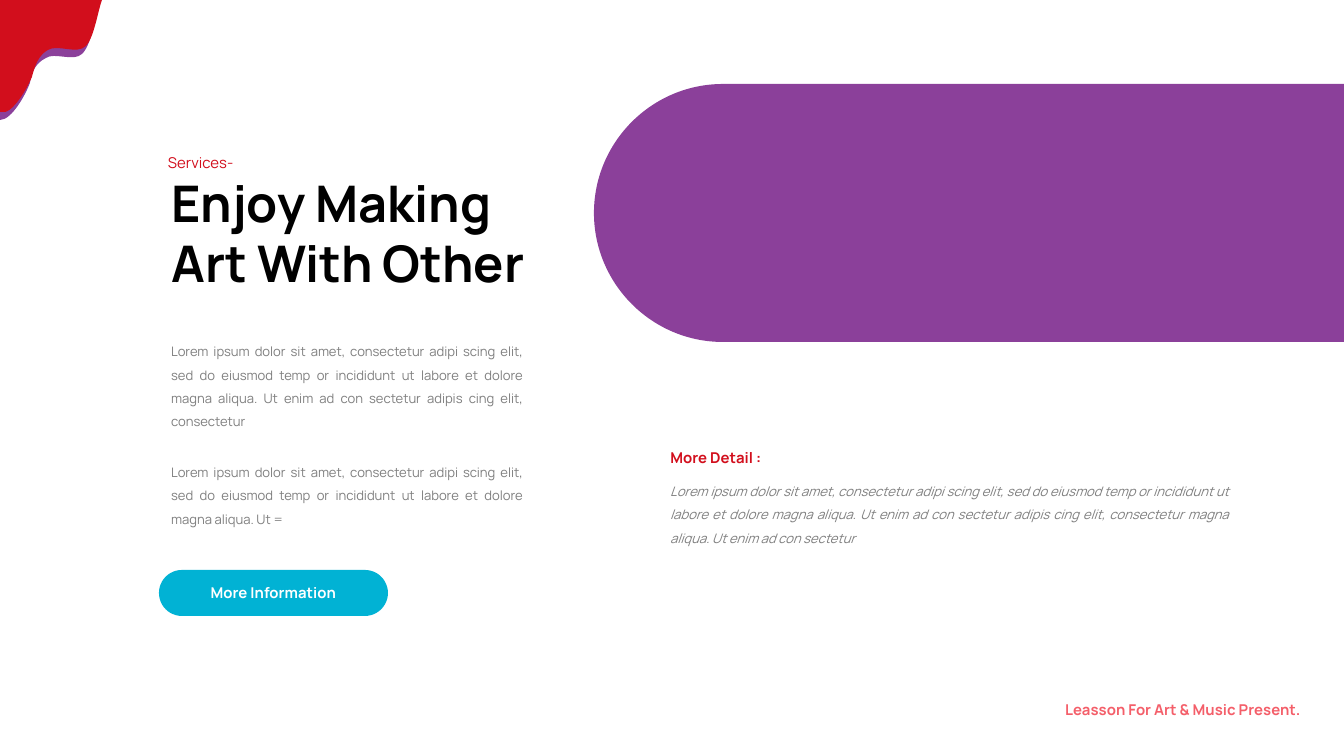
from pptx import Presentation
from pptx import util as u
from pptx.dml.color import RGBColor
from pptx.enum import shapes, text
from pptx.oxml.ns import qn

EMU_PER_PX = 914400 / 134.4
FONT = "Manrope"
PURPLE = RGBColor(0x8B, 0x40, 0x9A)
RED = RGBColor(0xD2, 0x0E, 0x1C)
CORAL = RGBColor(0xF4, 0x5E, 0x69)
CYAN = RGBColor(0x01, 0xB2, 0xD4)
GRAY = RGBColor(0x7F, 0x7F, 0x7F)
BLACK = RGBColor(0, 0, 0)
WHITE = RGBColor(0xFF, 0xFF, 0xFF)

LEFT, CENTER = text.PP_ALIGN.LEFT, text.PP_ALIGN.CENTER
RIGHT, JUSTIFY = text.PP_ALIGN.RIGHT, text.PP_ALIGN.JUSTIFY
NARROW_INSETS = (10, 5)

LOREM = ("Lorem ipsum dolor sit amet, consectetur adipi scing elit, sed do eiusmod "
         "temp or incididunt ut labore et dolore magna aliqua. Ut ")
LOREM_LONG = LOREM + "enim ad con sectetur adipis cing elit, consectetur"


def px(length):
    return u.Emu(round(length * EMU_PER_PX))


def paint(shape, color):
    shape.shadow.inherit = False
    shape.fill.solid()
    shape.fill.fore_color.rgb = color
    shape.line.fill.background()


def bend(segments):
    """Merge each three line segments into one cubic Bezier segment."""
    for first, second, third in zip(*[iter(segments)] * 3):
        first.tag = qn("a:cubicBezTo")
        for segment in (second, third):
            first.append(segment[0])
            segment.getparent().remove(segment)


def add_outline(container, corners, curves, color):
    """Draw straight corners followed by a chain of curves, then close."""
    points = corners + [point for curve in curves for point in curve]
    start, *others = [(px(x), px(y)) for x, y in points]
    builder = container.build_freeform(*start, scale=1.0)
    builder.add_line_segments(others, close=True)
    shape = builder.convert_to_shape()
    segments = list(shape.element.iter(qn("a:lnTo")))
    first_curve = len(corners) - 1
    bend(segments[first_curve:first_curve + 3 * len(curves)])
    # the builder may repeat the starting point before closing
    for segment in segments[first_curve + 3 * len(curves):]:
        segment.getparent().remove(segment)
    paint(shape, color)


def write(shape, words, size, color, align, bold=False, italic=False,
          spacing=None, insets=None):
    frame = shape.text_frame
    frame.word_wrap = True
    if insets:
        frame.margin_left = frame.margin_right = px(insets[0])
        frame.margin_top = frame.margin_bottom = px(insets[1])
    paragraph = frame.paragraphs[0]
    paragraph.alignment = align
    paragraph.line_spacing = spacing
    run = paragraph.add_run()
    run.text = words
    font = run.font
    font.name, font.size, font.bold, font.italic = FONT, u.Pt(size), bold, italic
    font.color.rgb = color


def add_text(slide, box, words, size, color, align=JUSTIFY, **style):
    shape = slide.shapes.add_textbox(*map(px, box))
    write(shape, words, size, color, align, spacing=1.5, **style)
    shape.text_frame.auto_size = text.MSO_AUTO_SIZE.SHAPE_TO_FIT_TEXT


def set_title(slide, box, words):
    title = slide.shapes.title
    title.left, title.top, title.width, title.height = map(px, box)
    write(title, words, 27, BLACK, LEFT, bold=True)
    title.text_frame.vertical_anchor = text.MSO_ANCHOR.TOP
    title.text_frame.auto_size = text.MSO_AUTO_SIZE.SHAPE_TO_FIT_TEXT


def add_button(slide, box, words):
    button = slide.shapes.add_shape(shapes.MSO_SHAPE.ROUNDED_RECTANGLE, *map(px, box))
    button.adjustments[0] = 0.5
    paint(button, CYAN)
    write(button, words, 8, WHITE, CENTER, bold=True)
    button.text_frame.vertical_anchor = text.MSO_ANCHOR.MIDDLE


def add_paint_drips(slide):
    drips = slide.shapes.add_group_shape().shapes
    add_outline(drips, [(0, 8), (98, 8)], [
        ((95, 19), (91, 46), (82, 54)),
        ((74, 62), (54, 52), (46, 58)),
        ((36, 63), (32, 71), (30, 83)),
        ((26, 94), (12, 120), (0, 120)),
    ], PURPLE)
    add_outline(drips, [(0, 112), (0, 0), (102, 0)], [
        ((98, 11), (94, 38), (86, 46)),
        ((77, 55), (58, 44), (48, 50)),
        ((39, 55), (35, 65), (32, 77)),
        ((28, 87), (12, 116), (1, 112)),
    ], RED)


def main():
    presentation = Presentation()
    presentation.slide_width, presentation.slide_height = px(1344), px(756)
    slide = presentation.slides.add_slide(presentation.slide_layouts[5])

    add_outline(slide.shapes, [(723, 84), (1344, 84), (1344, 342), (723, 342)], [
        ((652, 342), (594, 284), (594, 213)),
        ((594, 142), (652, 84), (723, 84)),
    ], PURPLE)
    add_paint_drips(slide)

    set_title(slide, (158, 165, 419, 134), "Enjoy Making Art With Other")
    add_text(slide, (158, 140, 169, 36), "Services-", 8, RED, insets=NARROW_INSETS)
    add_text(slide, (158, 329, 378, 108), LOREM_LONG, 7, GRAY)
    add_text(slide, (158, 450, 378, 85), LOREM + "=", 7, GRAY)
    add_button(slide, (159, 570, 229, 46), "More Information")

    add_text(slide, (657, 433, 159, 40), "More Detail :", 8, RED, bold=True)
    add_text(slide, (657, 469, 585, 85),
             LOREM_LONG + " magna aliqua. Ut enim ad con sectetur", 7, GRAY, italic=True)
    add_text(slide, (933, 687, 378, 36), "Leasson For Art & Music Present.", 8, CORAL,
             RIGHT, bold=True, insets=NARROW_INSETS)
    presentation.save("out.pptx")


if __name__ == "__main__":
    main()
